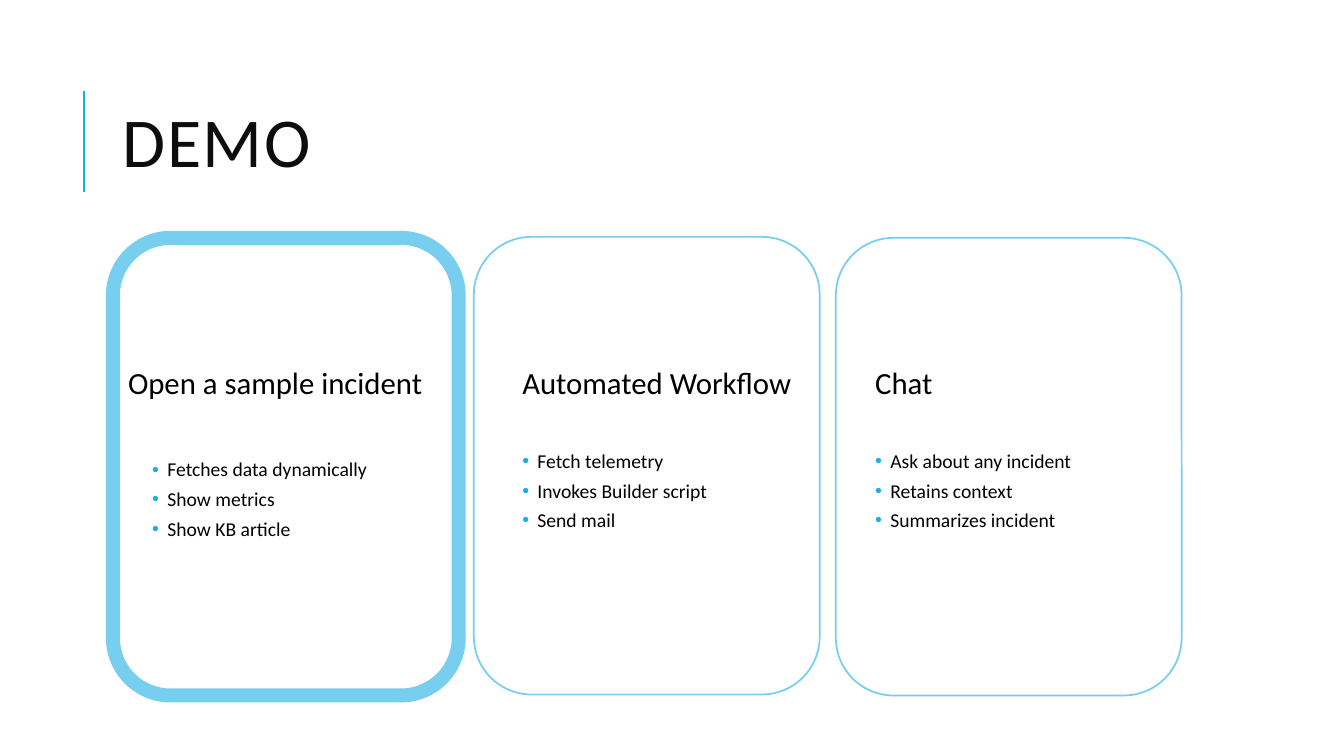
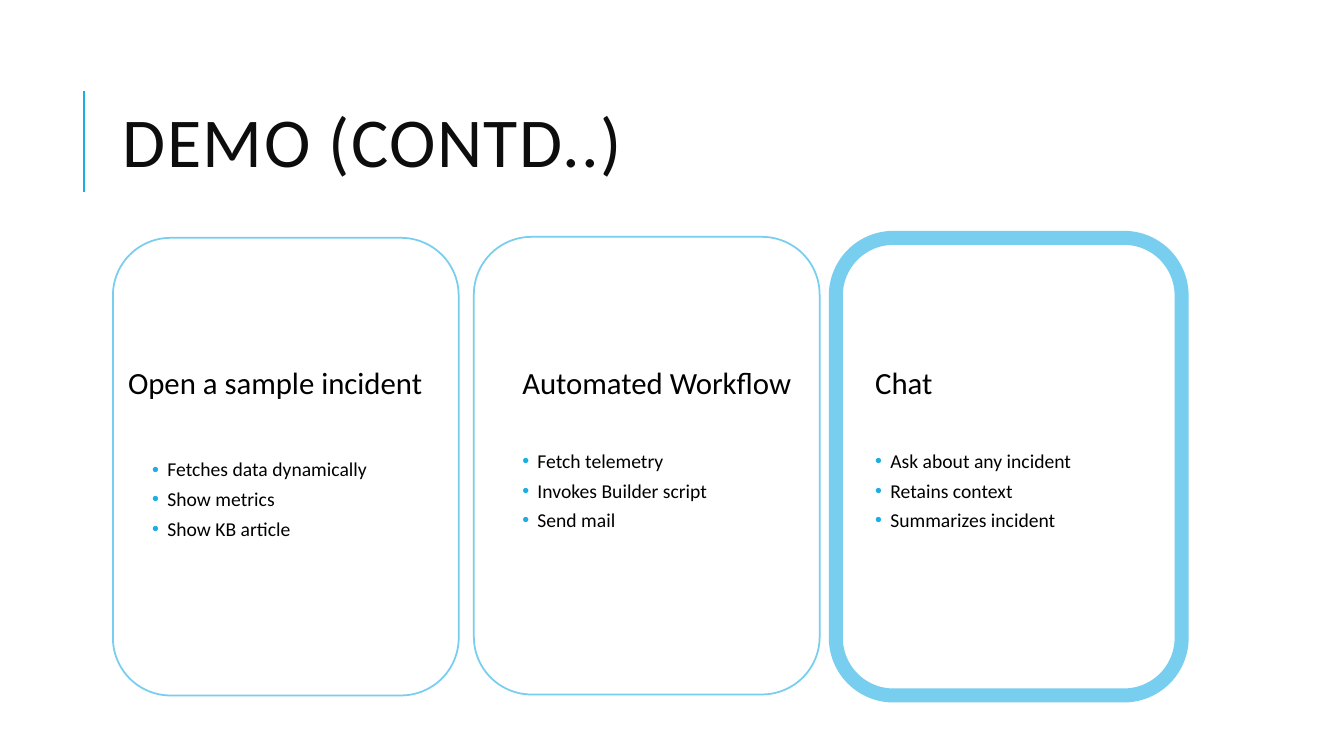
from dataclasses import dataclass

import pptx
import pptx.dml.color
import pptx.enum.shapes
import pptx.enum.text
import pptx.oxml
import pptx.oxml.ns
import pptx.util

PX = 9144  # 100 px to the inch
FONT = "Calibri"
HUES = {"accent": "1CADE4", "frame": "77CEEF", "title": "0D0D0D", "text": "000000"}
WIDE, TALL = 343, 454
BODY_TOP, BODY_TALL = 360, 330
THIN, THICK = 1.25, 10


@dataclass(frozen=True)
class Card:
    head: str
    items: tuple[str, ...]
    left: int
    top: int
    text_left: int
    indent: int = 34
    gap: int = 34


@dataclass(frozen=True)
class Page:
    title: str
    focus: int


CARDS = (
    Card("Open a sample incident",
         ("Fetches data dynamically", "Show metrics", "Show KB article"),
         112, 236, 112, indent=10, gap=40),
    Card("Automated Workflow",
         ("Fetch telemetry", "Invokes Builder script", "Send mail"),
         470, 235, 479),
    Card("Chat",
         ("Ask about any incident", "Retains context", "Summarizes incident"),
         829, 236, 829),
)
PAGES = (Page("DEMO", 0), Page("DEMO (CONTD..)", 2))


def px(num: int) -> pptx.util.Emu:
    return pptx.util.Emu(num * PX)


def hue(name: str) -> pptx.dml.color.RGBColor:
    return pptx.dml.color.RGBColor.from_string(HUES[name])


def add_node(parent, xml: str) -> None:
    """Append a DrawingML element, given without its namespace."""
    ns = pptx.oxml.ns.nsdecls("a")
    tag, rest = xml.split(" ", 1)
    parent.append(pptx.oxml.parse_xml(f"{tag} {ns} {rest}"))


def add_run(para, text: str, size: int, color: str = "text"):
    run = para.add_run()
    run.text = text
    run.font.name = FONT
    run.font.size = pptx.util.Pt(size)
    run.font.color.rgb = hue(color)
    return run


def space(para, line: float, before: int = 0, after: int = 0) -> None:
    para.line_spacing = line
    para.space_before = pptx.util.Pt(before)
    para.space_after = pptx.util.Pt(after)


def indent(para, left: int, hang: int = 0) -> None:
    props = para._p.get_or_add_pPr()
    props.set("marL", str(px(left)))
    props.set("indent", str(-px(hang)))


def add_box(slide, left: int, top: int, wide: int, tall: int):
    frame = slide.shapes.add_textbox(px(left), px(top), px(wide), px(tall)).text_frame
    frame.word_wrap = True
    return frame


def add_title(slide, text: str) -> None:
    """Draw the accent rule and the title beside it."""
    rule = slide.shapes.add_connector(
        pptx.enum.shapes.MSO_CONNECTOR.STRAIGHT, px(83), px(190), px(83), px(90))
    rule.line.color.rgb = hue("accent")
    rule.line.width = pptx.util.Pt(1.5)
    add_node(rule._element.spPr, "<a:effectLst />")

    frame = add_box(slide, 112, 64, 1063, 164)
    frame.vertical_anchor = pptx.enum.text.MSO_ANCHOR.MIDDLE
    para = frame.paragraphs[0]
    space(para, 0.8)
    run = add_run(para, text, 50, "title")
    run.font._element.set("spc", "100")


def add_text(slide, card: Card) -> None:
    frame = add_box(slide, card.text_left, BODY_TOP, WIDE, BODY_TALL)
    frame.margin_left = frame.margin_right = px(5)
    frame.margin_top = frame.margin_bottom = px(5)
    head = frame.paragraphs[0]
    space(head, 0.9, after=card.gap)
    indent(head, card.indent)
    add_run(head, card.head, 22)
    for item in card.items:
        para = frame.add_paragraph()
        space(para, 0.9, 2, 4)
        indent(para, 49, 15)
        props = para._p.get_or_add_pPr()
        add_node(props, f'<a:buClr ><a:srgbClr val="{HUES["accent"]}"/></a:buClr>')
        add_node(props, '<a:buFont typeface="Arial"/>')
        add_node(props, '<a:buChar char="•"/>')
        add_run(para, item, 14)


def add_frame(slide, card: Card, weight: float) -> None:
    shape = slide.shapes.add_shape(
        pptx.enum.shapes.MSO_SHAPE.ROUNDED_RECTANGLE,
        px(card.left), px(card.top), px(WIDE), px(TALL))
    shape.shadow.inherit = False
    shape.fill.background()
    shape.line.color.rgb = hue("frame")
    shape.line.width = pptx.util.Pt(weight)


def add_page(deck, page: Page) -> None:
    slide = deck.slides.add_slide(deck.slide_layouts[6])
    add_title(slide, page.title)
    for card in CARDS:
        add_text(slide, card)
    for num, card in enumerate(CARDS):
        add_frame(slide, card, THICK if num == page.focus else THIN)


def main() -> None:
    deck = pptx.Presentation()
    deck.slide_width, deck.slide_height = px(1333), px(750)
    for page in PAGES:
        add_page(deck, page)
    deck.save("out.pptx")


if __name__ == "__main__":
    main()
